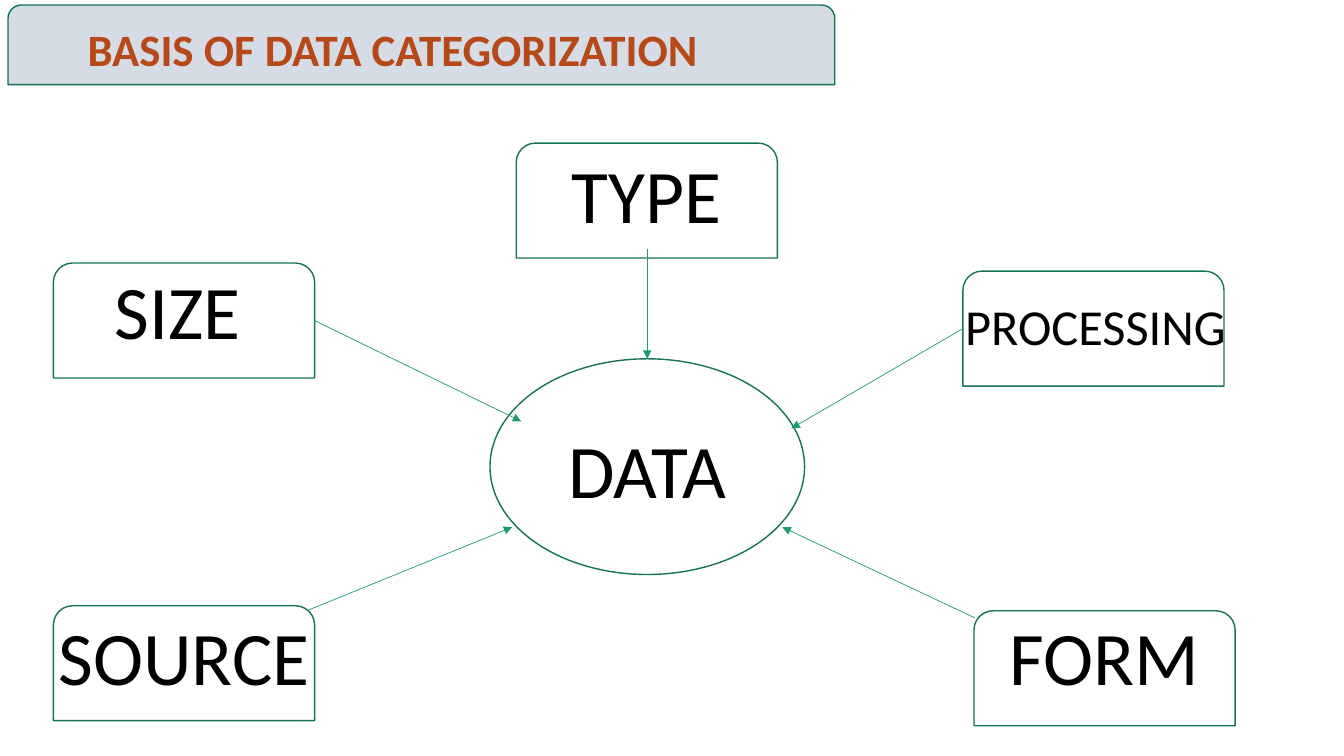
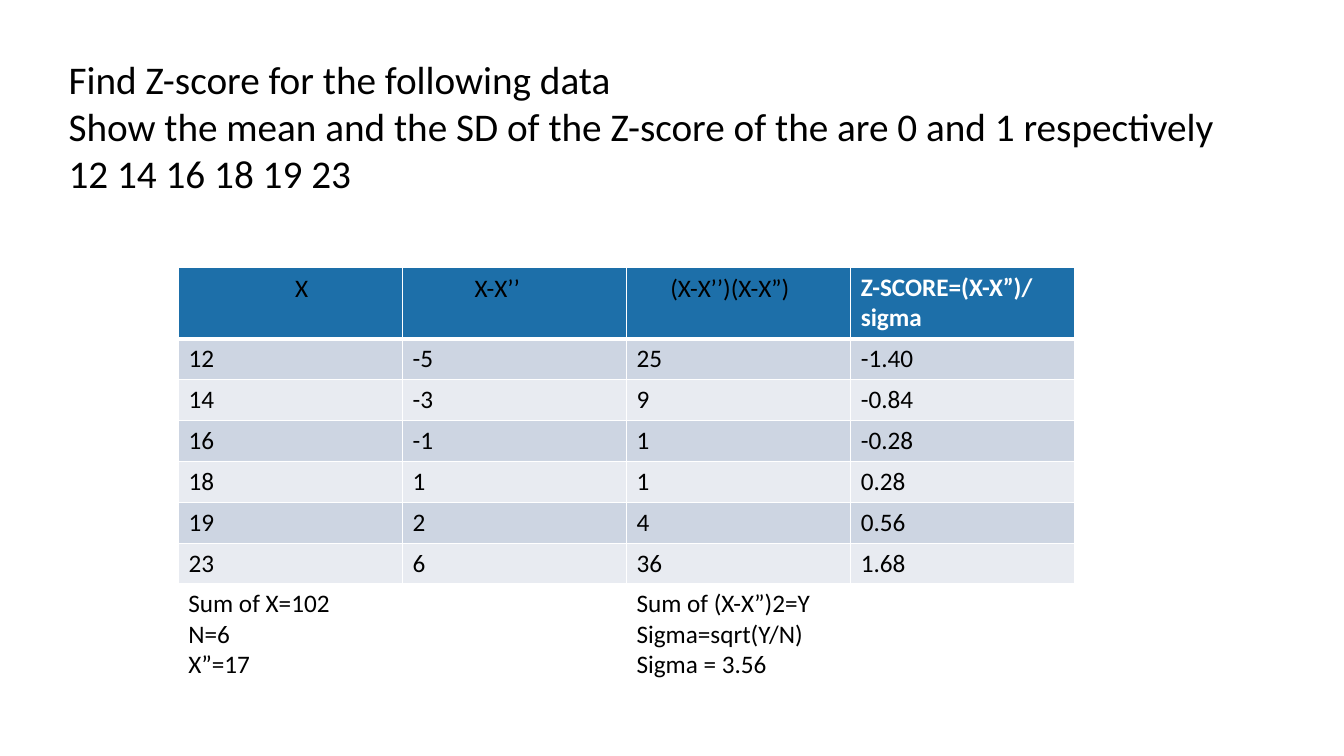
from pptx import Presentation
from pptx.dml.color import RGBColor
from pptx.enum.shapes import MSO_CONNECTOR, MSO_SHAPE
from pptx.enum.text import MSO_ANCHOR, MSO_AUTO_SIZE, PP_ALIGN
from pptx.oxml import parse_xml
from pptx.oxml.ns import nsdecls
from pptx.util import Inches, Pt

ELLIPSE, TAB = MSO_SHAPE.OVAL, MSO_SHAPE.ROUND_2_SAME_RECTANGLE
STRAIGHT = MSO_CONNECTOR.STRAIGHT
LEFT, CENTER = PP_ALIGN.LEFT, PP_ALIGN.CENTER
TOP, NO_FIT = MSO_ANCHOR.TOP, MSO_AUTO_SIZE.NONE

WHITE = RGBColor(0xFF, 0xFF, 0xFF)
BLACK = RGBColor(0x00, 0x00, 0x00)
GREEN = RGBColor(0x15, 0x72, 0x59)
ARROW_GREEN = RGBColor(0x1D, 0x9A, 0x78)
BAND = RGBColor(0xD6, 0xDC, 0xE5)
RUST = RGBColor(0xB7, 0x49, 0x19)
HEADER = RGBColor(0x1D, 0x6F, 0xA9)
ROW_FILLS = (RGBColor(0xCD, 0xD5, 0xE2), RGBColor(0xE8, 0xEB, 0xF1))

FONT = "Calibri"
NODE_W, NODE_H = 2.59, 1.14
LABEL_OVERHANG = 0.2
TITLE_ONLY = 5

# label, left, top, label shift (x, y), size, arrow start, arrow end
NODES = [
    ("TYPE", 5.12, 1.42, 0, -0.07, 54, (6.42, 2.47), None),
    ("SIZE", 0.53, 2.61, -0.06, -0.11, 54, (3.12, 3.18), (5.17, 4.18)),
    ("SOURCE", 0.53, 6.01, 0, -0.07, 54, (3.04, 6.06), (5.08, 5.23)),
    ("PROCESSING", 9.55, 2.69, 0.02, -0.03, 36, (9.55, 3.26), (7.85, 4.25)),
    ("FORM", 9.66, 6.06, 0, -0.12, 54, (9.67, 6.13), (7.76, 5.23)),
]

LAST_HEADING = "Z-SCORE=(X-X”)/sigma"
# heading, shift from the table's left edge, width
FLOATING_HEADINGS = [
    ("X", 1.06, 0.33),
    ("X-X’’", 2.84, 0.67),
    ("(X-X’’)(X-X”)", 4.78, 1.42),
]
SCORES = [
    ("12", "-5", "25", "-1.40"),
    ("14", "-3", "9", "-0.84"),
    ("16", "-1", "1", "-0.28"),
    ("18", "1", "1", "0.28"),
    ("19", "2", "4", "0.56"),
    ("23", "6", "36", "1.68"),
]
# column, width, lines
SUMS = [
    (0, 1.62, ["Sum of X=102", "N=6", "X”=17"]),
    (2, 1.95, ["Sum of (X-X”)2=Y", "Sigma=sqrt(Y/N)", "Sigma = 3.56"]),
]


def write(tf, lines, size, color=BLACK, bold=False, align=LEFT):
    tf.text = "\n".join(lines)
    font = {"name": FONT, "size": Pt(size), "bold": bold}
    for p in tf.paragraphs:
        p.alignment = align
        for r in p.runs:
            for key, value in font.items():
                setattr(r.font, key, value)
            r.font.color.rgb = color


def add_text(slide, box, lines, size, **style):
    tb = slide.shapes.add_textbox(*map(Inches, box))
    tb.text_frame.word_wrap = False
    write(tb.text_frame, lines, size, **style)


def add_title(slide, box, lines, size, wrap, **style):
    title = slide.shapes.title
    for key, value in zip(("left", "top", "width", "height"), box):
        setattr(title, key, Inches(value))
    tf = title.text_frame
    write(tf, lines, size, **style)
    tf.word_wrap, tf.auto_size, tf.vertical_anchor = wrap, NO_FIT, TOP


def add_outlined(slide, kind, box, fill=WHITE):
    sp = slide.shapes.add_shape(kind, *map(Inches, box))
    sp.shadow.inherit = False
    sp.fill.solid()
    sp.fill.fore_color.rgb = fill
    sp.line.color.rgb = GREEN
    sp.line.width = Pt(1)
    return sp


def add_arrow(slide, start, end, target):
    """Without an end point the arrow joins the top of the target."""
    line = slide.shapes.add_connector(STRAIGHT, *map(Inches, start + (end or start)))
    if end is None:
        line.end_connect(target, 0)
    line.line.color.rgb = ARROW_GREEN
    line.line.width = Pt(0.5)
    line.line._get_or_add_ln().append(
        parse_xml(f'<a:tailEnd {nsdecls("a")} type="triangle"/>'))
    line._element.spPr.append(parse_xml(f'<a:effectLst {nsdecls("a")}/>'))


def add_band_title(slide, box, text):
    x, y, w, h = box
    band = add_outlined(slide, TAB, box, BAND)
    # The band goes behind the title placeholder
    slide.shapes.title._element.addprevious(band._element)
    add_title(slide, (x + 0.66, y + 0.12, w - 1.89, h - 0.15), [text], 32,
              wrap=False, color=RUST, bold=True, align=CENTER)


def add_hub(slide, box):
    x, y, w, h = box
    hub = add_outlined(slide, ELLIPSE, box)
    add_text(slide, (x, y + h / 2 - 0.48, w, 1.01), ["DATA"], 54, align=CENTER)
    for label, left, top, dx, dy, size, start, end in NODES:
        add_outlined(slide, TAB, (left, top, NODE_W, NODE_H))
        add_arrow(slide, start, end, hub)
        text_h = size / 60 + 0.11
        text_box = (left + dx - LABEL_OVERHANG, top + (NODE_H - text_h) / 2 + dy,
                    NODE_W + 2 * LABEL_OVERHANG, text_h)
        add_text(slide, text_box, [label], size, align=CENTER)


def set_borders(cell, top, bottom):
    tc_pr = cell._tc.get_or_add_tcPr()
    for side, width in (("L", 1), ("R", 1), ("T", top), ("B", bottom)):
        tc_pr.append(parse_xml(
            f'<a:ln{side} {nsdecls("a")} w="{Pt(width)}"><a:solidFill>'
            f'<a:srgbClr val="{WHITE}"/></a:solidFill></a:ln{side}>'))


def add_score_table(slide, box):
    x, y, w, h = box
    cols = len(SCORES[0])
    rows = [("",) * (cols - 1) + (LAST_HEADING,)] + SCORES
    header_h = 0.7
    table = slide.shapes.add_table(len(rows), cols, *map(Inches, box)).table
    for col in table.columns:
        col.width = Inches(w / cols)
    for i, values in enumerate(rows):
        head = i == 0
        table.rows[i].height = Inches(
            header_h if head else (h - header_h) / len(SCORES))
        for j, value in enumerate(values):
            cell = table.cell(i, j)
            set_borders(cell, 3 if i == 1 else 1, 3 if head else 1)
            cell.fill.solid()
            cell.fill.fore_color.rgb = HEADER if head else ROW_FILLS[(i - 1) % 2]
            if value:
                write(cell.text_frame, [value], 18, WHITE if head else BLACK, head)
    # Headings over the first columns
    for heading, dx, width in FLOATING_HEADINGS:
        add_text(slide, (x + dx, y, width, 0.4), [heading], 18)
    # Sums stand under their columns
    for j, width, lines in SUMS:
        add_text(slide, (x + j * w / cols, y + h, width, 1.01), lines, 18)


def main():
    prs = Presentation()
    prs.slide_width, prs.slide_height = Inches(13.33), Inches(7.5)
    layout = prs.slide_layouts[TITLE_ONLY]

    # Categories
    s = prs.slides.add_slide(layout)
    add_band_title(s, (0.08, 0.05, 8.2, 0.79), "BASIS OF DATA CATEGORIZATION")
    add_hub(s, (4.86, 3.56, 3.12, 2.14))

    # Z-scores
    s = prs.slides.add_slide(layout)
    add_title(s, (0.58, 0.5, 12.2, 1.51), [
        "Find Z-score for the following data",
        "Show the mean and the SD of the Z-score of the are 0 and 1 respectively",
        "12 14 16 18 19 23"], 28, wrap=True)
    add_score_table(s, (1.77, 2.65, 8.89, 3.13))

    prs.save("out.pptx")


if __name__ == "__main__":
    main()
